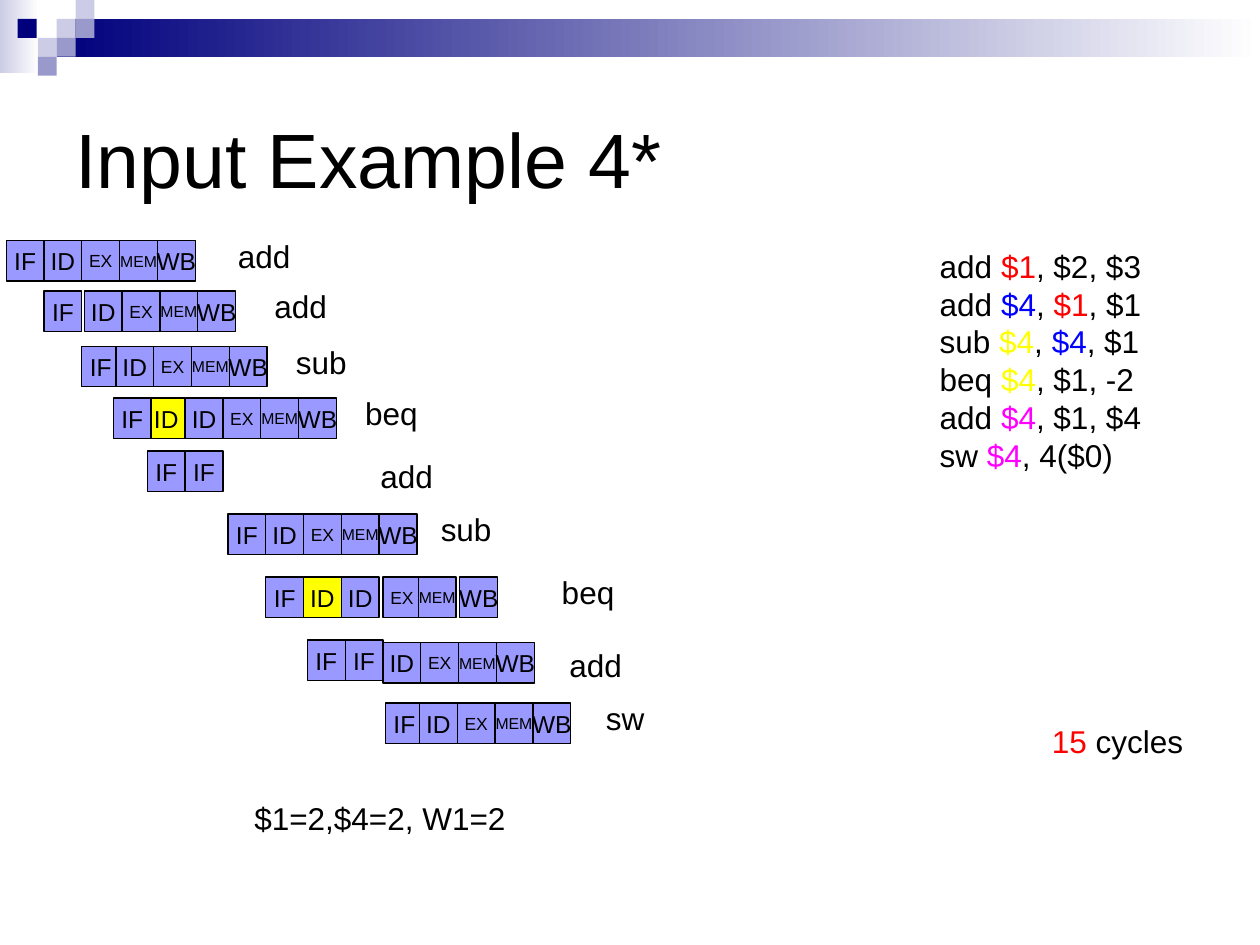
from dataclasses import dataclass

from pptx import Presentation
from pptx.dml.color import RGBColor
from pptx.enum.shapes import MSO_SHAPE
from pptx.enum.text import MSO_ANCHOR, MSO_AUTO_SIZE, PP_ALIGN
from pptx.util import Inches, Pt

COLORS = {
    "black": "000000", "white": "FFFFFF", "navy": "00007D",
    "lavender": "CCCCE6", "slate": "9999CC", "stage": "9999FF",
    "red": "FF0000", "blue": "0000FF", "yellow": "FFFF00", "magenta": "FF00FF",
}
FONT = "Arial"
STAGE_SIZES = {"IF": 14, "ID": 14, "EX": 10, "MEM": 9, "WB": 14}
STAGE_WIDTH, STAGE_HEIGHT, STAGE_PITCH = 0.3, 0.32, 0.3
SQUARE = 0.15
FULL = "IF ID EX MEM WB"
BACK = "ID EX MEM WB"


@dataclass
class Stages:
    """Adjacent pipeline stages; a star marks a stalled stage."""
    left: float
    top: float
    names: str


@dataclass
class Caption:
    left: float
    top: float
    width: float
    lines: list


@dataclass
class Square:
    left: float
    top: float
    color: str


SQUARES = [
    Square(0.45, 0.15, "lavender"), Square(0.6, 0, "lavender"),
    Square(0.6, 0.15, "slate"), Square(0.3, 0.3, "lavender"),
    Square(0.14, 0.15, "navy"), Square(0.45, 0.3, "slate"),
    Square(0.3, 0.45, "slate"),
]

PIPELINE = [
    Stages(0.05, 1.91, FULL),
    Stages(0.35, 2.31, "IF"), Stages(0.67, 2.31, BACK),
    Stages(0.65, 2.75, "IF"), Stages(0.92, 2.75, BACK),
    Stages(1.17, 3.16, "ID* " + BACK), Stages(0.9, 3.16, "IF"),
    Stages(1.17, 3.58, "IF IF"),
    Stages(1.81, 4.08, FULL),
    Stages(2.11, 4.58, "IF ID* ID"), Stages(3.04, 4.58, "EX"),
    Stages(3.32, 4.58, "MEM"), Stages(3.65, 4.58, "WB"),
    Stages(3.04, 5.1, BACK), Stages(2.44, 5.08, "IF IF"),
    Stages(3.06, 5.58, "IF"), Stages(3.33, 5.58, BACK),
]

# Each line is a list of (text, color) runs.
PROGRAM = [
    [("add ", "black"), ("$1", "red"), (", $2, $3", "black")],
    [("add ", "black"), ("$4", "blue"), (", ", "black"), ("$1", "red"), (", $1", "black")],
    [("sub ", "black"), ("$4", "yellow"), (", ", "black"), ("$4", "blue"), (", $1", "black")],
    [("beq ", "black"), ("$4", "yellow"), (", $1, -2", "black")],
    [("add ", "black"), ("$4", "magenta"), (", $1, $4", "black")],
    [("sw ", "black"), ("$4", "magenta"), (", 4($0)", "black")],
]

CAPTIONS = [
    Caption(1.79, 1.83, 0.62, [[("add", "black")]]),
    Caption(2.08, 2.23, 0.62, [[("add", "black")]]),
    Caption(2.25, 2.67, 0.6, [[("sub", "black")]]),
    Caption(2.8, 3.08, 0.62, [[("beq", "black")]]),
    Caption(2.92, 3.58, 0.62, [[("add", "black")]]),
    Caption(3.4, 4, 0.6, [[("sub", "black")]]),
    Caption(4.36, 4.5, 0.82, [[("beq", "black")]]),
    Caption(4.42, 5.08, 0.62, [[("add", "black")]]),
    Caption(4.71, 5.5, 0.51, [[("sw", "black")]]),
    Caption(7.36, 1.91, 1.8, PROGRAM),
    Caption(8.25, 5.68, 1.25, [[("15", "red"), (" cycles", "black")]]),
    Caption(1.92, 6.29, 2.22, [[("$1=2,$4=2, W1=2", "black")]]),
]


def rgb(name: str) -> RGBColor:
    return RGBColor.from_string(COLORS[name])


def add_span(para, text: str, size: float, color: str = "black") -> None:
    span = para.add_run()
    span.text = text
    span.font.name = FONT
    span.font.size = Pt(size)
    span.font.color.rgb = rgb(color)


def add_rectangle(page, left: float, top: float, width: float, height: float):
    box = page.shapes.add_shape(MSO_SHAPE.RECTANGLE, Inches(left), Inches(top),
                                Inches(width), Inches(height))
    box.shadow.inherit = False
    box.line.fill.background()
    return box


def add_fading_bar(page, left: float, top: float, width: float, height: float,
                   color: str) -> None:
    bar = add_rectangle(page, left, top, width, height)
    bar.fill.gradient()
    bar.fill.gradient_angle = 0
    for stop, position, name in zip(bar.fill.gradient_stops, (0, 1), (color, "white")):
        stop.position = position
        stop.color.rgb = rgb(name)


def add_square(page, square: Square) -> None:
    box = add_rectangle(page, square.left, square.top, SQUARE, SQUARE)
    box.fill.solid()
    box.fill.fore_color.rgb = rgb(square.color)


def add_stages(page, stages: Stages) -> None:
    for index, name in enumerate(stages.names.split()):
        box = add_rectangle(page, stages.left + index * STAGE_PITCH, stages.top,
                            STAGE_WIDTH, STAGE_HEIGHT)
        box.fill.solid()
        box.fill.fore_color.rgb = rgb("yellow" if name.endswith("*") else "stage")
        box.line.color.rgb = rgb("black")
        box.line.width = Pt(0.75)
        frame = box.text_frame
        frame.word_wrap = False
        frame.vertical_anchor = MSO_ANCHOR.MIDDLE
        para = frame.paragraphs[0]
        para.alignment = PP_ALIGN.CENTER
        stage = name.rstrip("*")
        add_span(para, stage, STAGE_SIZES[stage])


def add_caption(page, caption: Caption) -> None:
    height = 0.1 + 0.3 * len(caption.lines)
    box = page.shapes.add_textbox(Inches(caption.left), Inches(caption.top),
                                  Inches(caption.width), Inches(height))
    frame = box.text_frame
    frame.word_wrap = False
    frame.auto_size = MSO_AUTO_SIZE.SHAPE_TO_FIT_TEXT
    for index, line in enumerate(caption.lines):
        para = frame.add_paragraph() if index else frame.paragraphs[0]
        for text, color in line:
            add_span(para, text, 18, color)


def set_title(page, text: str) -> None:
    title = page.shapes.title
    title.left, title.top = Inches(0.5), Inches(0.5)
    title.width, title.height = Inches(9), Inches(1.5)
    frame = title.text_frame
    frame.auto_size = MSO_AUTO_SIZE.NONE
    frame.vertical_anchor = MSO_ANCHOR.MIDDLE
    para = frame.paragraphs[0]
    para.alignment = PP_ALIGN.LEFT
    add_span(para, text, 44)


def main() -> None:
    deck = Presentation()
    deck.slide_width, deck.slide_height = Inches(10), Inches(7.5)
    page = deck.slides.add_slide(deck.slide_layouts[5])
    add_fading_bar(page, 0, 0, 0.31, 0.58, "lavender")
    add_fading_bar(page, 0.45, 0.15, 9.55, 0.3, "navy")
    for square in SQUARES:
        add_square(page, square)
    set_title(page, "Input Example 4*")
    for stages in PIPELINE:
        add_stages(page, stages)
    for caption in CAPTIONS:
        add_caption(page, caption)
    deck.save("out.pptx")


if __name__ == "__main__":
    main()
